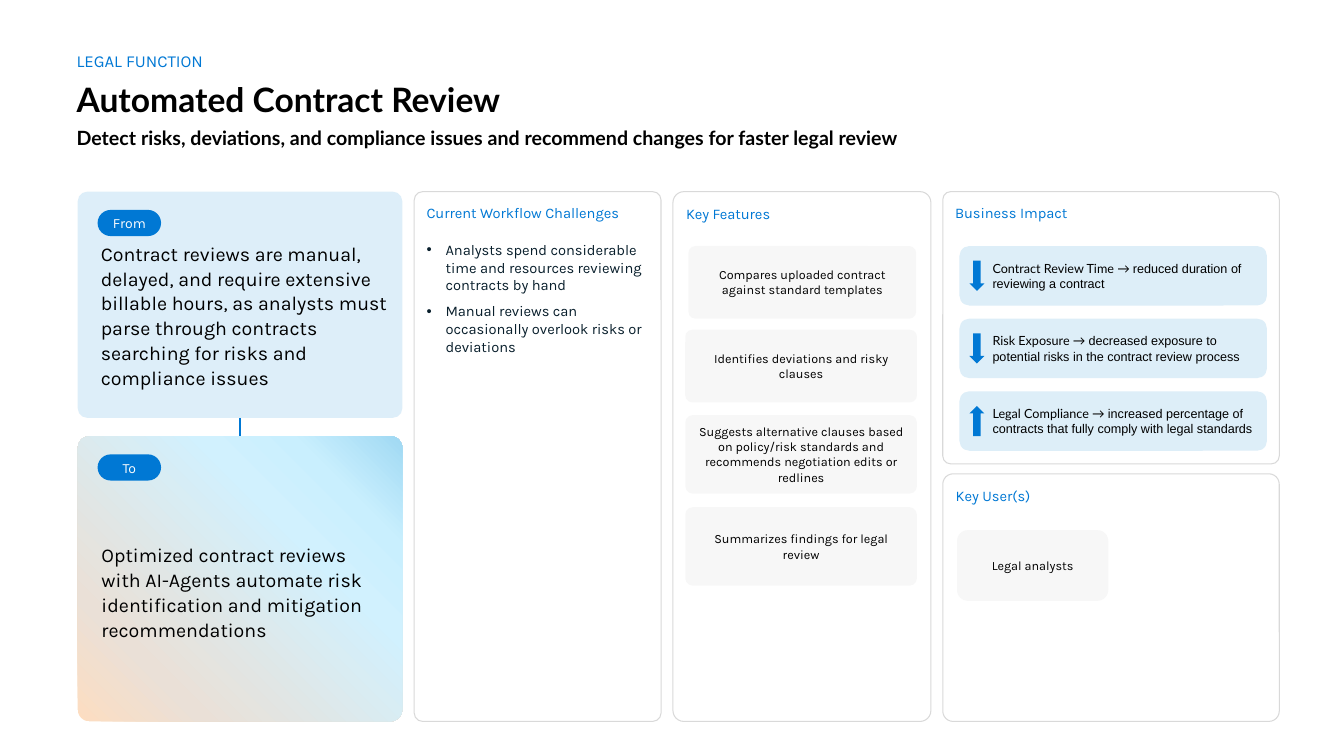
from dataclasses import dataclass

from pptx import Presentation, util as u
from pptx.dml.color import RGBColor
from pptx.enum import shapes, text
from pptx.oxml import parse_xml
from pptx.oxml.ns import nsdecls, qn

# Content
KICKER = "LEGAL FUNCTION"
TITLE = "Automated Contract Review"
SUBTITLE = ("Detect risks, deviations, and compliance issues and recommend "
            "changes for faster legal review")
FROM = ("From", "Contract reviews are manual, delayed, and require extensive billable hours, "
        "as analysts must parse through contracts searching for risks and compliance issues")
TO = ("To", "Optimized contract reviews with AI-Agents automate risk identification "
      "and mitigation recommendations")
CHALLENGES = [
    "Analysts spend considerable time and resources reviewing contracts by hand",
    "Manual reviews can occasionally overlook risks or deviations",
]
# Paragraphs, then left, top, width, height in cm
FEATURES = [
    (["Compares uploaded contract against standard templates"], (17.35, 6.2, 5.74, 1.83)),
    (["Identifies deviations and risky clauses"], (17.27, 8.31, 5.84, 1.83)),
    (["Suggests alternative clauses based on policy/risk standards and",
      "recommends negotiation edits or redlines"], (17.27, 10.46, 5.84, 1.98)),
    (["Summarizes findings for legal review"], (17.27, 12.78, 5.84, 1.98)),
]
# Measure, effect, arrow rotation
IMPACTS = [
    ("Contract Review Time → ", "reduced duration of reviewing a contract", 180),
    ("Risk Exposure → ",
     "decreased exposure to potential risks in the contract review process", 180),
    ("Legal Compliance → ",
     "increased percentage of contracts that fully comply with legal standards", 0),
]
USER = "Legal analysts"


@dataclass(frozen=True)
class Theme:
    blue: str = "0078D4"
    black: str = "000000"
    white: str = "FFFFFF"
    ink: str = "091F2C"
    border: str = "D9D9D9"
    pale: str = "DDEEF9"
    impact: str = "DDEEF8"
    user: str = "F7F7F7"
    gradient: tuple = ((0, "A0D9F3"), (18, "C9EFFE"), (33, "D1F1FE"),
                       (79, "EAE0D7"), (100, "FDDDC1"))
    font: str = "Karla"
    head_font: str = "Lato"
    detail_font: str = "Arial"
    title: float = 24
    card: float = 14
    kicker: float = 12
    panel: float = 10.5
    pill: float = 10
    small: float = 9


T = Theme()
CENTER, LEFT = text.PP_ALIGN.CENTER, text.PP_ALIGN.LEFT
TOP, MIDDLE = text.MSO_ANCHOR.TOP, text.MSO_ANCHOR.MIDDLE
ROUND, ARROW = shapes.MSO_SHAPE.ROUNDED_RECTANGLE, shapes.MSO_SHAPE.UP_ARROW

# Column grid in cm
GAP, TOP_Y, BOTTOM_Y = 0.3, 4.83, 18.18
WIDTHS = (8.18, 6.22, 6.5, 8.48)
COLUMNS = [1.96 + sum(WIDTHS[:i]) + GAP * i for i in range(len(WIDTHS))]
FROM_BOTTOM, TO_TOP = 10.53, 10.99
IMPACT_BOTTOM, USERS_TOP = 11.69, 11.94
TEXT_X = 1.93

prs = Presentation()
prs.slide_width, prs.slide_height = u.Cm(33.87), u.Cm(19.05)
s = prs.slides.add_slide(prs.slide_layouts[1])


def assign(obj, values):
    for name, value in values.items():
        setattr(obj, name, value)


def place(sp, box):
    assign(sp, dict(zip(("left", "top", "width", "height"), map(u.Cm, box))))


def write(sp, paragraphs, size, color=T.black, font=T.font, bold=False,
          align=LEFT, anchor=MIDDLE, inset=(0, 0, 0, 0), **spacing):
    """Each paragraph is a list of (text, font) runs or a plain string."""
    tf = sp.text_frame
    sides = ("margin_left", "margin_top", "margin_right", "margin_bottom")
    assign(tf, {"word_wrap": True, "auto_size": text.MSO_AUTO_SIZE.NONE,
                "vertical_anchor": anchor, **dict(zip(sides, map(u.Cm, inset)))})
    for i, runs in enumerate(paragraphs):
        p = tf.paragraphs[0] if i == 0 else tf.add_paragraph()
        assign(p, {"alignment": align, "space_before": u.Pt(0), **spacing})
        for content, face in [(runs, font)] if isinstance(runs, str) else runs:
            r = p.add_run()
            r.text = content
            assign(r.font, {"name": face, "size": u.Pt(size), "bold": bold})
            r.font.color.rgb = RGBColor.from_string(color)
    return tf


def shape(box, fill, kind=ROUND, radius=None, opacity=None, line=None):
    sp = s.shapes.add_shape(kind, *map(u.Cm, box))
    sp.shadow.inherit = False
    if radius is not None:
        sp.adjustments[0] = radius
    sp.fill.solid()
    sp.fill.fore_color.rgb = RGBColor.from_string(fill)
    if opacity:
        color = sp._element.spPr.find(".//" + qn("a:srgbClr"))
        color.append(parse_xml(f'<a:alpha {nsdecls("a")} val="{opacity * 1000}"/>'))
    if line:
        sp.line.color.rgb = RGBColor.from_string(line)
        sp.line.width = u.Pt(0.75)
    else:
        sp.line.fill.background()
    return sp


def panel(column, top, bottom, heading, radius):
    sp = shape((COLUMNS[column], top, WIDTHS[column], bottom - top), T.white,
               radius=radius, opacity=11, line=T.border)
    write(sp, [heading], T.panel, T.blue, anchor=TOP, inset=(0.25, 0.25, 0.25, 0.94))


def card(top, bottom, label, body, inset):
    sp = shape((COLUMNS[0], top, WIDTHS[0], bottom - top), T.pale, radius=0.042)
    write(sp, [body], T.card, inset=inset, line_spacing=u.Pt(17.8))
    pill = shape((COLUMNS[0] + 0.5, top + 0.46, 1.6, 0.66), T.blue, radius=0.5)
    write(pill, [label], T.pill, T.white, align=CENTER)
    return sp


def glow(sp):
    """Radial gradient spreading from the top right corner."""
    stops = "".join(f'<a:gs pos="{pos * 1000}"><a:srgbClr val="{c}"/></a:gs>'
                    for pos, c in T.gradient)
    pr = sp._element.spPr
    pr.remove(pr.find(qn("a:solidFill")))
    pr.insert(2, parse_xml(
        f'<a:gradFill {nsdecls("a")} rotWithShape="1"><a:gsLst>{stops}</a:gsLst>'
        '<a:path path="circle"><a:fillToRect l="100000" b="100000"/></a:path></a:gradFill>'))


# Heading
title = s.shapes.title
place(title, (TEXT_X, 1.98, 14.88, 1.02))
write(title, [TITLE], T.title, font=T.head_font, bold=True, anchor=TOP)
kicker = s.shapes.add_textbox(*map(u.Cm, (TEXT_X, 1.32, 6.6, 0.43)))
write(kicker, [KICKER], T.kicker, T.blue)
subtitle = s.shapes.add_textbox(*map(u.Cm, (TEXT_X, 3.05, 21.54, 1.45)))
write(subtitle, [SUBTITLE], T.card, font=T.head_font, bold=True, anchor=TOP,
      inset=(0, 0.13, 0.25, 0.13))

# From and To cards
before = card(TOP_Y, FROM_BOTTOM, *FROM, inset=(0.51, 0.51, 0, 0))
after = card(TO_TOP, BOTTOM_Y, *TO, inset=(0.51, 0.63, 0.51, 0))
glow(after)
link = s.shapes.add_connector(shapes.MSO_CONNECTOR.STRAIGHT, 0, 0, 0, 0)
link.begin_connect(before, 2)
link.end_connect(after, 0)
link.line.color.rgb = RGBColor.from_string(T.blue)
link.line.width = u.Pt(1)
link._element.spPr.append(parse_xml(f'<a:effectLst {nsdecls("a")}/>'))

# Panels
panel(1, TOP_Y, BOTTOM_Y, "Current Workflow Challenges", 0.034)
panel(2, TOP_Y, BOTTOM_Y, "Key Features", 0.042)
panel(3, TOP_Y, IMPACT_BOTTOM, "Business Impact", 0.029)
panel(3, USERS_TOP, BOTTOM_Y, "Key User(s)", 0.042)

# Challenges list
challenges = s.placeholders[1]
place(challenges, (COLUMNS[1] + 0.31, 6.07, 5.6, 3.2))
tf = write(challenges, CHALLENGES, T.panel, T.ink, anchor=TOP)
for i, p in enumerate(tf.paragraphs):
    pPr = p._p.get_or_add_pPr()
    pPr.set("marL", str(u.Cm(0.48)))
    pPr.set("indent", str(u.Cm(-0.48)))
    pPr.append(parse_xml(f'<a:buChar {nsdecls("a")} char="•"/>'))
    p.space_before = u.Pt(6 if i else 0)
s.shapes._spTree.append(challenges._element)

# Features
for paragraphs, box in FEATURES:
    write(shape(box, T.border, radius=0.097, opacity=20), paragraphs, T.small,
          align=CENTER, inset=(0.2, 0.41, 0.2, 0.41))

# Impacts
for i, (measure, effect, rotation) in enumerate(IMPACTS):
    x, y = COLUMNS[3] + 0.42, 6.2 + 1.83 * i
    write(shape((x, y, 7.75, 1.5), T.impact),
          [[(measure, T.head_font), (effect, T.detail_font)]], T.small,
          inset=(0.76, 0.13, 0.25, 0.13))
    shape((x + 0.25, y + 0.37, 0.38, 0.76), T.blue, ARROW).rotation = rotation

# Users
write(shape((COLUMNS[3] + 0.36, 13.36, 3.81, 1.78), T.user, radius=0.152),
      [USER], T.small, align=CENTER)

prs.save("out.pptx")
